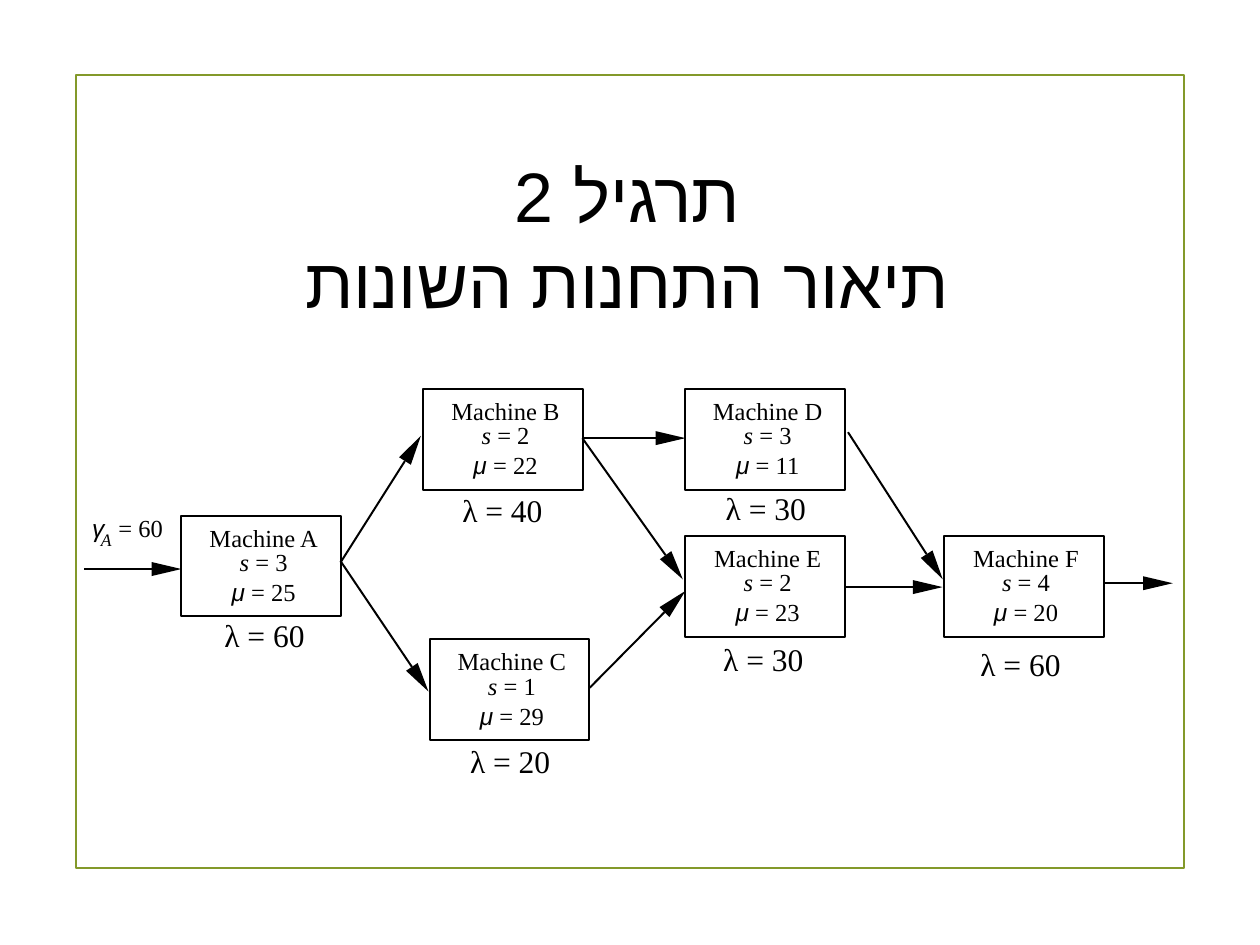
"""Build the exercise slide showing a queueing network of six machines."""
from math import hypot

from lxml.etree import SubElement
from pptx import Presentation
from pptx.dml.color import RGBColor
from pptx.enum.shapes import MSO_CONNECTOR, MSO_SHAPE
from pptx.enum.text import MSO_ANCHOR, PP_ALIGN
from pptx.oxml.ns import qn
from pptx.util import Pt

BLACK = RGBColor(0x00, 0x00, 0x00)
WHITE = RGBColor(0xFF, 0xFF, 0xFF)
OLIVE = RGBColor(0x83, 0x99, 0x2A)
SERIF, SANS = "Times New Roman", "Arial"

TITLE = ["תרגיל 2", "תיאור התחנות השונות"]

# name, servers, service rate, arrival rate, box corner, arrival-rate corner
MACHINES = [
    ("A", 3, 25, 60, (103.7, 294.6), (121, 348.5)),
    ("B", 2, 22, 40, (241.9, 222.2), (257, 277.2)),
    ("C", 1, 29, 20, (245.5, 365.3), (261.4, 420.5)),
    ("E", 2, 23, 30, (391.7, 306.2), (406.1, 362.2)),
    ("D", 3, 11, 30, (391.7, 222.2), (407.5, 275.8)),
    ("F", 4, 20, 60, (539.3, 306.2), (553, 365)),
]
MACHINE_SIZE = (91.4, 57.6)
NAME_TOP, SERVERS_TOP, RATE_TOP = 4, 18, 35.2

FLOWS = [
    ((194.6, 321.4), (240.5, 249.1)),
    ((194.6, 320.6), (244.9, 395.2)),
    ((48.3, 325.2), (103.7, 325.2)),
    ((332.8, 250.4), (391.7, 250.4)),
    ((332.8, 250.4), (390.2, 331.1)),
    ((337, 393), (391.7, 337.7)),
    ((484.6, 247), (538.7, 331)),
    ((483.6, 335.5), (538.7, 335.5)),
    ((630.7, 333.3), (670.2, 333.3)),
]
HEAD_LENGTH, HEAD_HALF_WIDTH = 17, 4

INFLOW = [
    ("γ", SANS, 14, True, (52.6, 293)),
    ("= 60", SERIF, 14, False, (67.7, 293)),
    ("A", SERIF, 10, True, (57.6, 302.4)),
]


def add_rectangle(slide, left, top, width, height, outline, weight, fill=None):
    box = slide.shapes.add_shape(
        MSO_SHAPE.RECTANGLE, Pt(left), Pt(top), Pt(width), Pt(height))
    box.shadow.inherit = False
    if fill is None:
        box.fill.background()
    else:
        box.fill.solid()
        box.fill.fore_color.rgb = fill
    box.line.color.rgb = outline
    box.line.width = Pt(weight)


def add_label(slide, runs, left, top, width, size, align=PP_ALIGN.LEFT):
    label = slide.shapes.add_textbox(Pt(left), Pt(top), Pt(width), Pt(size * 1.5))
    frame = label.text_frame
    frame.word_wrap = True
    frame.margin_left = frame.margin_right = 0
    frame.margin_top = frame.margin_bottom = 0
    paragraph = frame.paragraphs[0]
    paragraph.alignment = align
    paragraph.font.size = Pt(size)
    for text, face, italic in runs:
        run = paragraph.add_run()
        run.text = text
        run.font.name = face
        run.font.size = Pt(size)
        run.font.italic = italic
        run.font.color.rgb = BLACK


def add_title(slide):
    title = slide.shapes.add_textbox(Pt(82), Pt(80.6), Pt(553), Pt(109.4))
    frame = title.text_frame
    frame.word_wrap = True
    frame.vertical_anchor = MSO_ANCHOR.MIDDLE
    frame.text = "\n".join(TITLE)
    for paragraph in frame.paragraphs:
        paragraph.alignment = PP_ALIGN.CENTER
        paragraph.line_spacing = Pt(49)
        paragraph._p.get_or_add_pPr().set("rtl", "1")
        for run in paragraph.runs:
            run.font.size = Pt(40)
            run.font.name = SERIF
            run.font.color.rgb = BLACK
            SubElement(run.font._element, qn("a:cs")).set("typeface", SANS)


def add_machine(slide, name, servers, rate, arrivals, corner, arrivals_corner):
    left, top = corner
    add_rectangle(slide, left, top, *MACHINE_SIZE, BLACK, 1.13, WHITE)
    lines = [
        (NAME_TOP, [(f"Machine {name}", SERIF, False)]),
        (SERVERS_TOP, [("s", SERIF, True), (f" = {servers}", SERIF, False)]),
        (RATE_TOP, [("μ", SANS, True), (f" = {rate}", SERIF, False)]),
    ]
    for offset, runs in lines:
        add_label(slide, runs, left + 12, top + offset, 70, 14, PP_ALIGN.CENTER)
    arrivals_left, arrivals_top = arrivals_corner
    add_label(slide, [(f"λ = {arrivals}", SERIF, False)],
              arrivals_left + 7.2, arrivals_top + 3.6, 52, 18)


def add_flow(slide, start, tip):
    (x, y), (tip_x, tip_y) = start, tip
    length = hypot(tip_x - x, tip_y - y)
    along_x, along_y = (tip_x - x) / length, (tip_y - y) / length
    base_x, base_y = tip_x - HEAD_LENGTH * along_x, tip_y - HEAD_LENGTH * along_y
    side_x, side_y = -HEAD_HALF_WIDTH * along_y, HEAD_HALF_WIDTH * along_x

    builder = slide.shapes.build_freeform(Pt(tip_x), Pt(tip_y))
    builder.add_line_segments([
        (Pt(base_x + side_x), Pt(base_y + side_y)),
        (Pt(base_x - side_x), Pt(base_y - side_y)),
    ], close=True)
    head = builder.convert_to_shape()
    head.shadow.inherit = False
    head.fill.solid()
    head.fill.fore_color.rgb = BLACK
    head.line.fill.background()

    shaft = slide.shapes.add_connector(
        MSO_CONNECTOR.STRAIGHT, Pt(x), Pt(y), Pt(base_x), Pt(base_y))
    shaft.line.color.rgb = BLACK
    shaft.line.width = Pt(1.13)
    SubElement(shaft._element.spPr, qn("a:effectLst"))


def main():
    deck = Presentation()
    deck.slide_width, deck.slide_height = Pt(720), Pt(540)
    slide = deck.slides.add_slide(deck.slide_layouts[6])
    add_rectangle(slide, 43.6, 42.7, 633, 453.4, OLIVE, 1.25)
    add_title(slide)
    for machine in MACHINES:
        add_machine(slide, *machine)
    for start, tip in FLOWS:
        add_flow(slide, start, tip)
    for text, face, size, italic, (left, top) in INFLOW:
        add_label(slide, [(text, face, italic)], left, top, 31, size)
    deck.save("out.pptx")


if __name__ == "__main__":
    main()
